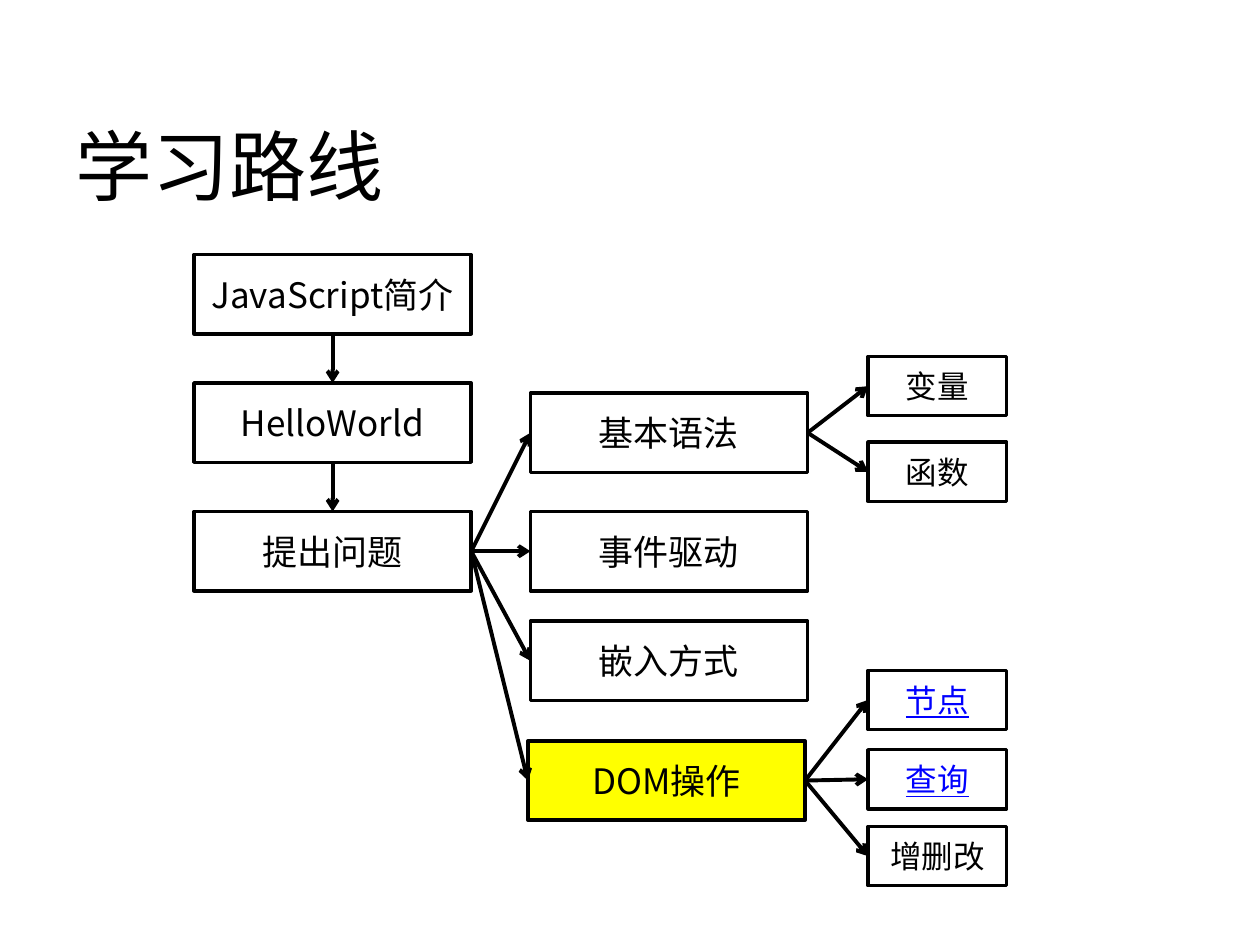
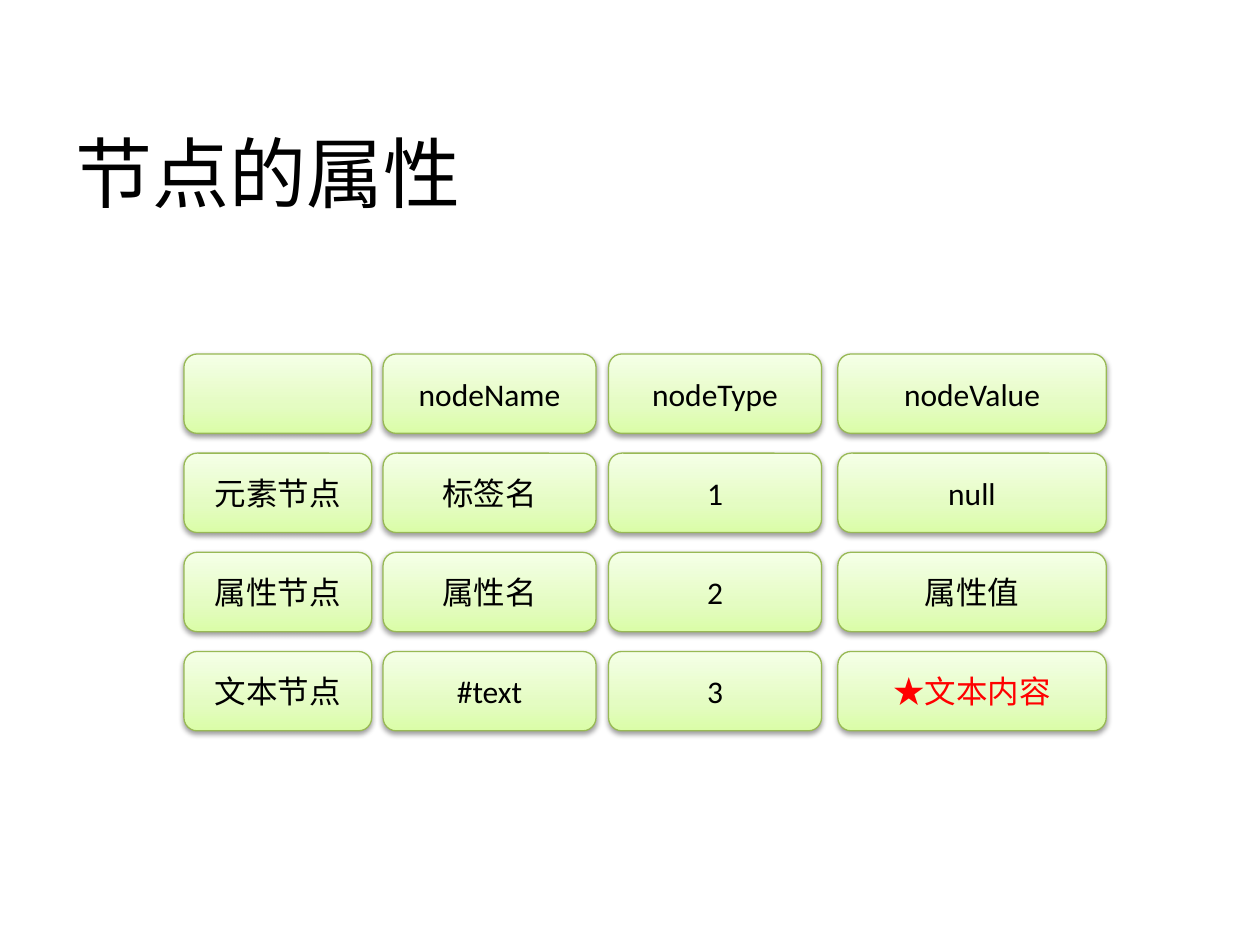
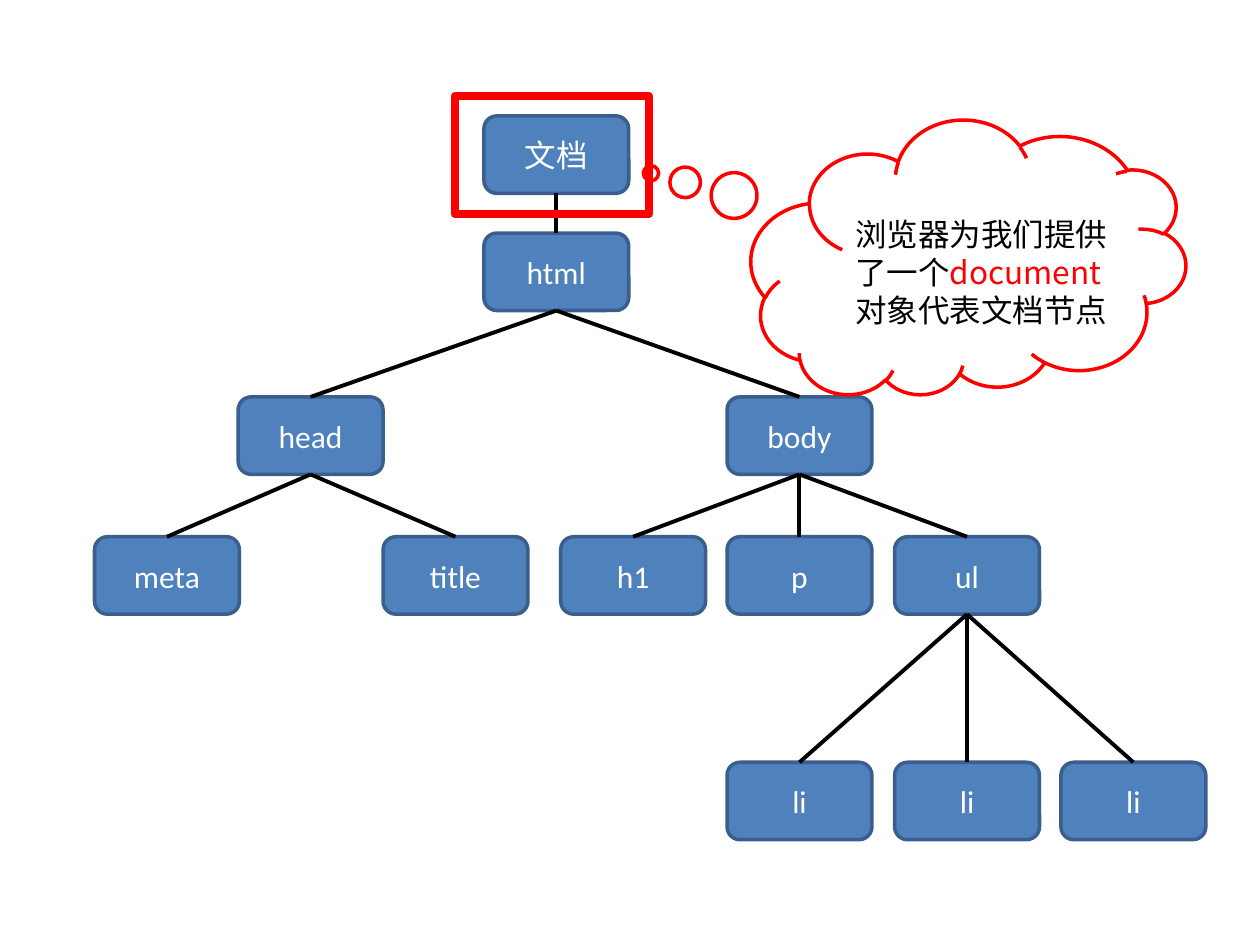
from dataclasses import dataclass
from lxml.etree import SubElement
from pptx import Presentation
from pptx.dml.color import RGBColor
from pptx.enum.shapes import MSO_CONNECTOR, MSO_SHAPE
from pptx.enum.text import MSO_ANCHOR, MSO_AUTO_SIZE, PP_ALIGN
from pptx.oxml.ns import qn
from pptx.util import Inches, Pt


@dataclass(frozen=True)
class Theme:
    black: str = "000000"
    white: str = "FFFFFF"
    red: str = "FF0000"
    blue: str = "0000FF"
    yellow: str = "FFFF00"
    steel: str = "4F81BD"
    navy: str = "3A5F8C"
    olive: str = "98B955"
    limes: tuple = ((0, "DAFDA7"), (35, "E4FCC2"), (100, "F5FFE7"))
    sans: str = "Calibri"
    han: str = "Noto Sans CJK SC"
    head: int = 44
    body: int = 20
    small: int = 18


T = Theme()
CELL = 0.1
TOP, LEFT, BOTTOM, RIGHT = range(4)

PLAIN = dict(edge=T.black, weight=2, face=T.han, size=T.body, ink=T.black)
LEAF = {**PLAIN, "size": T.small}
LINKED = {**LEAF, "ink": T.blue, "under": True}
LIME = dict(fill=T.limes, edge=T.olive, weight=0.75, face=T.sans, size=T.small, ink=T.black)
NODE = dict(fill=T.steel, edge=T.navy, weight=2, face=T.sans, size=T.small, ink=T.white)


def grid(*cells):
    return [Inches(round(c * CELL, 3)) for c in cells]


def dress(item, **values):
    for name, value in values.items():
        setattr(item, name, value)


def write(par, text, look):
    run = par.add_run()
    run.text = text
    dress(run.font, name=look["face"], size=Pt(look["size"]), underline=look.get("under"))
    run.font.color.rgb = RGBColor.from_string(look["ink"])
    SubElement(run.font._element, qn("a:ea")).set("typeface", T.han)


def blend(shape, stops):
    shape.fill.gradient()
    shape.fill.gradient_angle = 90
    ramp = shape._element.spPr.find(".//" + qn("a:gsLst"))
    ramp[:] = []
    for share, tint in stops:
        stop = SubElement(ramp, qn("a:gs"), pos=str(share * 1000))
        SubElement(stop, qn("a:srgbClr"), val=tint)


def shade(shape):
    effects = shape._element.spPr.find(qn("a:effectLst"))
    drop = SubElement(effects, qn("a:outerShdw"), blurRad="40000", dist="20000",
                      dir="5400000", rotWithShape="0")
    tint = SubElement(drop, qn("a:srgbClr"), val=T.black)
    SubElement(tint, qn("a:alpha"), val="38000")


def box(slide, kind, place, look, label=""):
    shape = slide.shapes.add_shape(kind, *grid(*place))
    shape.shadow.inherit = False
    fill = look.get("fill")
    if fill is None:
        shape.fill.background()
    elif isinstance(fill, tuple):
        blend(shape, fill)
        shade(shape)
    else:
        shape.fill.solid()
        shape.fill.fore_color.rgb = RGBColor.from_string(fill)
    shape.line.color.rgb = RGBColor.from_string(look["edge"])
    shape.line.width = Pt(look["weight"])
    if label:
        frame = shape.text_frame
        dress(frame, word_wrap=True, vertical_anchor=MSO_ANCHOR.MIDDLE)
        frame.paragraphs[0].alignment = PP_ALIGN.CENTER
        write(frame.paragraphs[0], label, look)
    return shape


def note(slide, place, parts, **frame):
    text = slide.shapes.add_textbox(*grid(*place)).text_frame
    dress(text, word_wrap=True, **frame)
    for words, look in parts:
        write(text.paragraphs[0], words, look)


def title(slide, text, top):
    look = dict(face=T.han, size=T.head, ink=T.black)
    note(slide, (5, top, 90, 12.5), [(text, look)], vertical_anchor=MSO_ANCHOR.MIDDLE)


def link(slide, start, end, sides, arrow=False):
    line = slide.shapes.add_connector(MSO_CONNECTOR.STRAIGHT, 0, 0, 0, 0)
    line.begin_connect(start, sides[0])
    line.end_connect(end, sides[1])
    line.line.color.rgb = RGBColor.from_string(T.black)
    line.line.width = Pt(2.25)
    props = line._element.spPr
    if arrow:
        SubElement(props.find(qn("a:ln")), qn("a:tailEnd"), type="arrow")
    SubElement(props, qn("a:effectLst"))


def fan(slide, start, ends):
    for end in ends:
        link(slide, start, end, (RIGHT, LEFT), True)


def route(slide):
    title(slide, "学习路线", 6.8)

    def step(left, top, label, look=PLAIN):
        return box(slide, MSO_SHAPE.RECTANGLE, (left, top, 22, 6.3), look, label)

    def leaf(top, label, look=LEAF):
        return box(slide, MSO_SHAPE.RECTANGLE, (68.9, top, 11, 4.7), look, label)

    names = ("JavaScript简介", "HelloWorld", "提出问题")
    steps = [step(15.4, 20.2 + 10.2 * i, name) for i, name in enumerate(names)]
    topics = [step(42.1, 31.2, "基本语法"), step(42.1, 40.6, "事件驱动"),
              step(42.1, 49.3, "嵌入方式"),
              step(41.9, 58.8, "DOM操作", {**PLAIN, "fill": T.yellow})]
    basics = [leaf(28.3, "变量"), leaf(35.1, "函数")]
    tasks = [leaf(53.2, "节点", LINKED), leaf(59.5, "查询", LINKED), leaf(65.6, "增删改")]
    for start, end in zip(steps, steps[1:]):
        link(slide, start, end, (BOTTOM, TOP), True)
    fan(slide, steps[-1], topics)
    fan(slide, topics[0], basics)
    fan(slide, topics[-1], tasks)


def traits(slide):
    title(slide, "节点的属性", 7.4)
    cols = ((14.6, 14.9), (30.4, 16.9), (48.3, 16.9), (66.5, 21.3))
    rows = (("", "nodeName", "nodeType", "nodeValue"),
            ("元素节点", "标签名", "1", "null"),
            ("属性节点", "属性名", "2", "属性值"),
            ("文本节点", "#text", "3", "★文本内容"))
    for i, row in enumerate(rows):
        for (left, width), label in zip(cols, row):
            look = {**LIME, "ink": T.red} if label.startswith("★") else LIME
            place = (left, 28.1 + 7.87 * i, width, 6.3)
            box(slide, MSO_SHAPE.ROUNDED_RECTANGLE, place, look, label)


TREE = ("文档", 38.4, [("html", 38.4, [
    ("head", 18.9, [("meta", 7.5, []), ("title", 30.4, [])]),
    ("body", 57.7, [("h1", 44.5, []), ("p", 57.7, []), ("ul", 71, [
        ("li", 57.7, []), ("li", 71, []), ("li", 84.2, [])])])])])
LEVELS = (9.2, 18.5, 31.5, 42.6, 60.5)


def grow(slide, tree, depth=0):
    label, left, kids = tree
    place = (left, LEVELS[depth], 11.5, 6.15)
    node = box(slide, MSO_SHAPE.ROUNDED_RECTANGLE, place, NODE, label)
    for kid in kids:
        link(slide, node, grow(slide, kid, depth + 1), (BOTTOM, TOP))
    return node


def model(slide):
    grow(slide, TREE)
    box(slide, MSO_SHAPE.RECTANGLE, (36.1, 7.6, 15.4, 9.4), dict(edge=T.red, weight=4.5))
    cloud = box(slide, MSO_SHAPE.CLOUD_CALLOUT, (59.6, 9.6, 34.5, 21.8),
                dict(edge=T.red, weight=2))
    cloud.rotation = 180
    for i, share in enumerate((0.73, 0.31)):
        cloud.adjustments[i] = share
    parts = [("浏览器为我们提供了一个", LEAF), ("document", {**LEAF, "ink": T.red}),
             ("对象代表文档节点", LEAF)]
    note(slide, (66.9, 16.6, 23, 10.1), parts, auto_size=MSO_AUTO_SIZE.SHAPE_TO_FIT_TEXT)


def main():
    deck = Presentation()
    dress(deck, slide_width=Inches(10), slide_height=Inches(7.5))
    for draw in (route, traits, model):
        draw(deck.slides.add_slide(deck.slide_layouts[6]))
    deck.save("out.pptx")


main()
